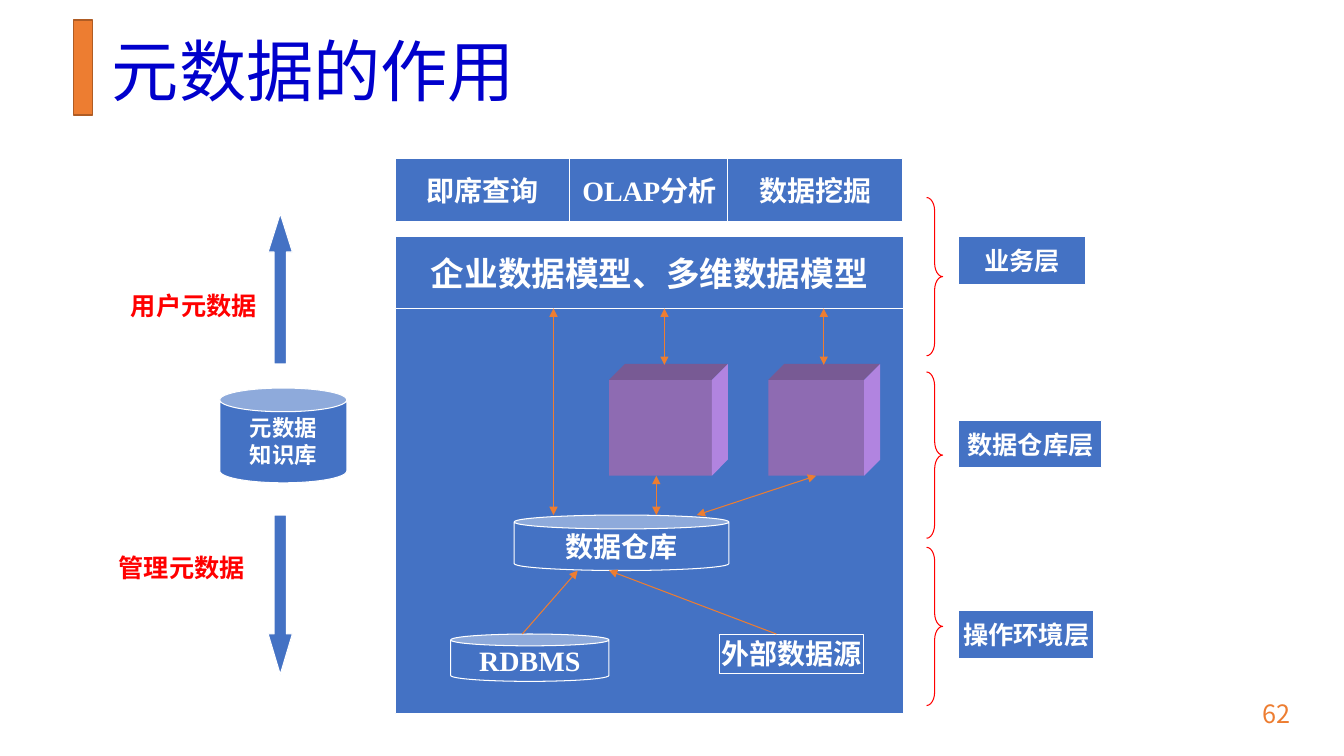
"""Build the slide on the role of metadata in a data warehouse."""
from lxml import etree
from pptx import Presentation
from pptx.dml.color import RGBColor
from pptx.enum.shapes import MSO_CONNECTOR, MSO_SHAPE
from pptx.enum.text import MSO_ANCHOR, PP_ALIGN
from pptx.oxml.ns import qn
from pptx.util import Inches, Pt

COLORS = {
    "blue": "4472C4", "white": "FFFFFF", "orange": "ED7D31", "rust": "AF5C24",
    "red": "FF0000", "title": "0000CC",
    "front": "8E6BB2", "top": "785A94", "side": "B184E0",
}
CJK = "Noto Sans CJK SC"
SERIF = "Times New Roman"


def write(frame, text, size, color, latin=SERIF, bold=True, align=PP_ALIGN.CENTER):
    """Fill a text frame and format its runs."""
    frame.text = text
    frame.vertical_anchor = MSO_ANCHOR.MIDDLE
    for paragraph in frame.paragraphs:
        paragraph.alignment = align
        for run in paragraph.runs:
            run.font.size = Pt(size)
            run.font.bold = bold
            run.font.name = latin
            run.font.color.rgb = RGBColor.from_string(COLORS[color])
            east_asian = etree.SubElement(run._r.get_or_add_rPr(), qn("a:ea"))
            east_asian.set("typeface", CJK)


def draw(kind, box, fill="blue", line="white", text="", size=20, width=0.75):
    """Add a preset shape with its fill, outline and label."""
    shape = slide.shapes.add_shape(kind, *map(Inches, box))
    shape.shadow.inherit = False
    if fill:
        shape.fill.solid()
        shape.fill.fore_color.rgb = RGBColor.from_string(COLORS[fill])
    else:
        shape.fill.background()
    if line:
        shape.line.color.rgb = RGBColor.from_string(COLORS[line])
        shape.line.width = Pt(width)
    else:
        shape.line.fill.background()
    if text:
        shape.text_frame.word_wrap = False
        write(shape.text_frame, text, size, "white")
    return shape


presentation = Presentation()
presentation.slide_width = Inches(13.33)
presentation.slide_height = Inches(7.5)
slide = presentation.slides.add_slide(presentation.slide_layouts[5])

draw(MSO_SHAPE.RECTANGLE, (0.73, 0.2, 0.19, 0.94), "orange", "rust", width=1)
title = slide.shapes.title
title.left, title.top, title.width, title.height = map(Inches, (1.01, 0.21, 11.41, 1.07))
write(title.text_frame, "元数据的作用", 48, "title", CJK, False, PP_ALIGN.LEFT)
title.text_frame.paragraphs[0].line_spacing = 0.9

page_number = slide.shapes.add_textbox(*map(Inches, (9.9, 6.88, 3, 0.4)))
page_number.text_frame.word_wrap = True
write(page_number.text_frame, "62", 18, "orange", CJK, False, PP_ALIGN.RIGHT)

draw(MSO_SHAPE.RECTANGLE, (3.92, 3.06, 5.04, 4.02))
draw(MSO_SHAPE.RECTANGLE, (3.92, 2.35, 5.04, 0.71), text="企业数据模型、多维数据模型", size=24)
for left, width, tool in [(3.92, 1.73, "即席查询"), (5.65, 1.58, "OLAP分析"), (7.22, 1.73, "数据挖掘")]:
    draw(MSO_SHAPE.RECTANGLE, (left, 1.57, width, 0.63), text=tool)

draw(MSO_SHAPE.CAN, (2.18, 3.85, 1.26, 0.94), text="元数据\n知识库", size=16)
for direction, top, height, head in [
    (MSO_SHAPE.UP_ARROW, 2.12, 1.49, 1.583),
    (MSO_SHAPE.DOWN_ARROW, 5.11, 1.58, 1.669),
]:
    arrow = draw(direction, (2.66, top, 0.24, height))
    arrow.adjustments[1] = head
for left, top, metadata in [(1.2, 2.83, "用户元数据"), (1.08, 5.43, "管理元数据")]:
    label = slide.shapes.add_textbox(*map(Inches, (left, top, 1.57, 0.4)))
    label.text_frame.word_wrap = True
    write(label.text_frame, metadata, 18, "red", align=PP_ALIGN.LEFT)

for top, width, layer, brace_top, brace_height, bend in [
    (2.35, 1.26, "业务层", 1.96, 1.57, 0.84),
    (4.17, 1.42, "数据仓库层", 3.69, 1.65, 0.88),
    (6.06, 1.34, "操作环境层", 5.43, 1.57, 0.84),
]:
    draw(MSO_SHAPE.RECTANGLE, (9.51, top, width, 0.47), text=layer, size=18)
    brace = draw(MSO_SHAPE.RIGHT_BRACE, (9.19, brace_top, 0.16, brace_height), None, "red")
    brace.adjustments[0] = bend

cube_top, cube_bottom, depth = 3.77, 4.72, 0.16
for left, width in [(6.04, 1.02), (7.62, 0.95)]:
    right = left + width
    cube_front = draw(MSO_SHAPE.RECTANGLE, (left, cube_top, width, cube_bottom - cube_top), "front", None)
    back_right = (right + depth, cube_top - depth)
    for color, corners in [
        ("top", [(left, cube_top), (left + depth, cube_top - depth), back_right, (right, cube_top)]),
        ("side", [(right, cube_top), back_right, (right + depth, cube_bottom - depth), (right, cube_bottom)]),
    ]:
        points = [(Inches(x), Inches(y)) for x, y in corners]
        outline = slide.shapes.build_freeform(*points[0])
        outline.add_line_segments(points[1:])
        face = outline.convert_to_shape()
        face.shadow.inherit = False
        face.fill.solid()
        face.fill.fore_color.rgb = RGBColor.from_string(COLORS[color])
        face.line.fill.background()

draw(MSO_SHAPE.CAN, (5.1, 5.11, 2.13, 0.55), text="数据仓库")
draw(MSO_SHAPE.CAN, (4.47, 6.29, 1.57, 0.47), text="RDBMS")
draw(MSO_SHAPE.RECTANGLE, (7.14, 6.29, 1.42, 0.39), text="外部数据源")

for start, end, ends in [
    ((5.18, 6.29), (5.73, 5.66), ["tailEnd"]),
    ((7.7, 6.29), (6.04, 5.66), ["tailEnd"]),
    ((6.51, 4.72), (6.51, 5.11), ["headEnd", "tailEnd"]),
    ((5.49, 5.11), (5.49, 3.06), ["headEnd", "tailEnd"]),
    ((6.59, 3.06), (6.59, 3.62), ["headEnd", "tailEnd"]),
    ((8.17, 3.06), (8.17, 3.62), ["headEnd", "tailEnd"]),
    ((6.91, 5.11), (8.09, 4.72), ["headEnd", "tailEnd"]),
]:
    flow = slide.shapes.add_connector(MSO_CONNECTOR.STRAIGHT, *map(Inches, start + end))
    flow.line.color.rgb = RGBColor.from_string(COLORS["orange"])
    flow.line.width = Pt(0.75)
    for tip in ends:
        etree.SubElement(flow.line._get_or_add_ln(), qn(f"a:{tip}")).set("type", "triangle")
    etree.SubElement(flow._element.spPr, qn("a:effectLst"))
flow.end_connect(cube_front, 2)

presentation.save("out.pptx")
